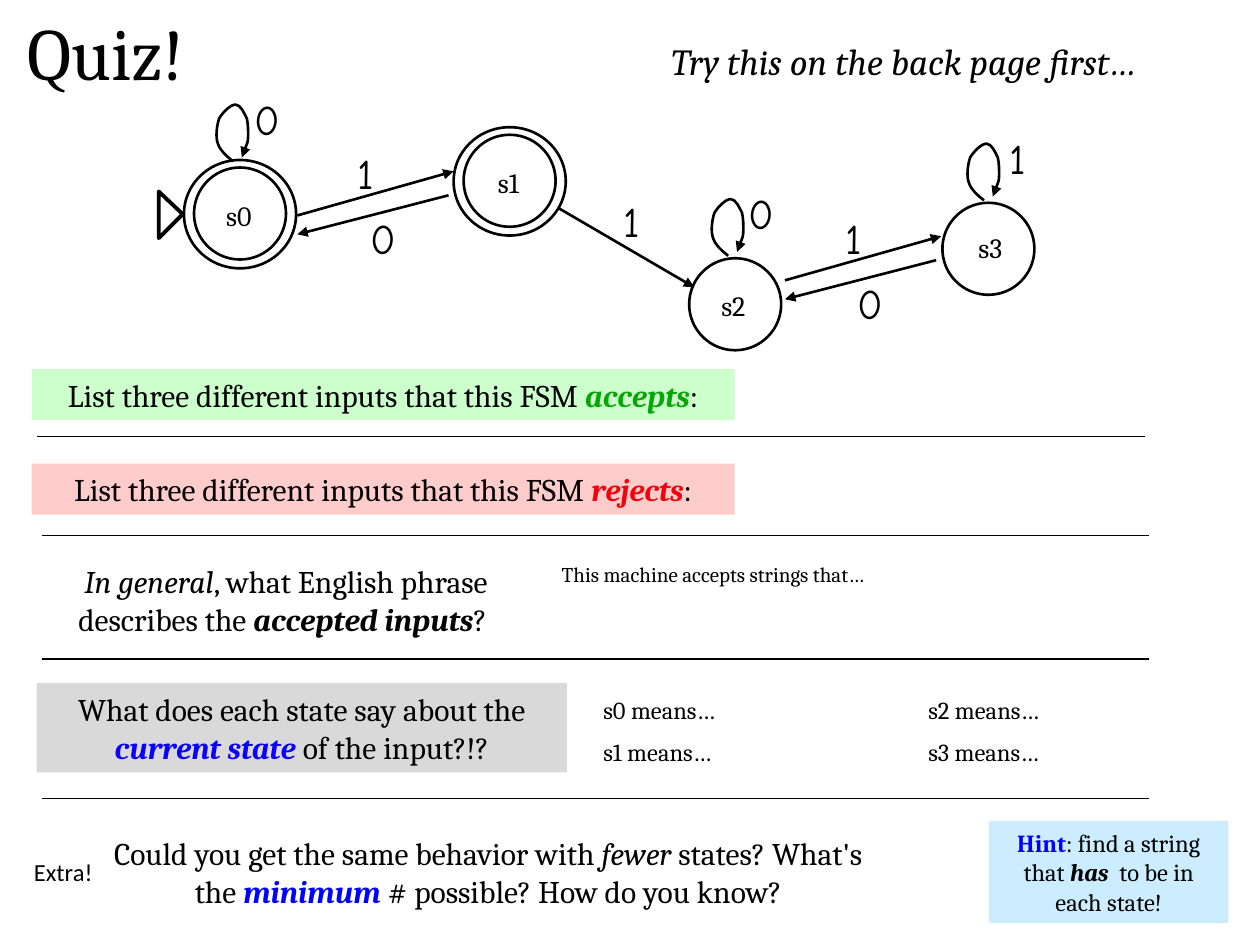
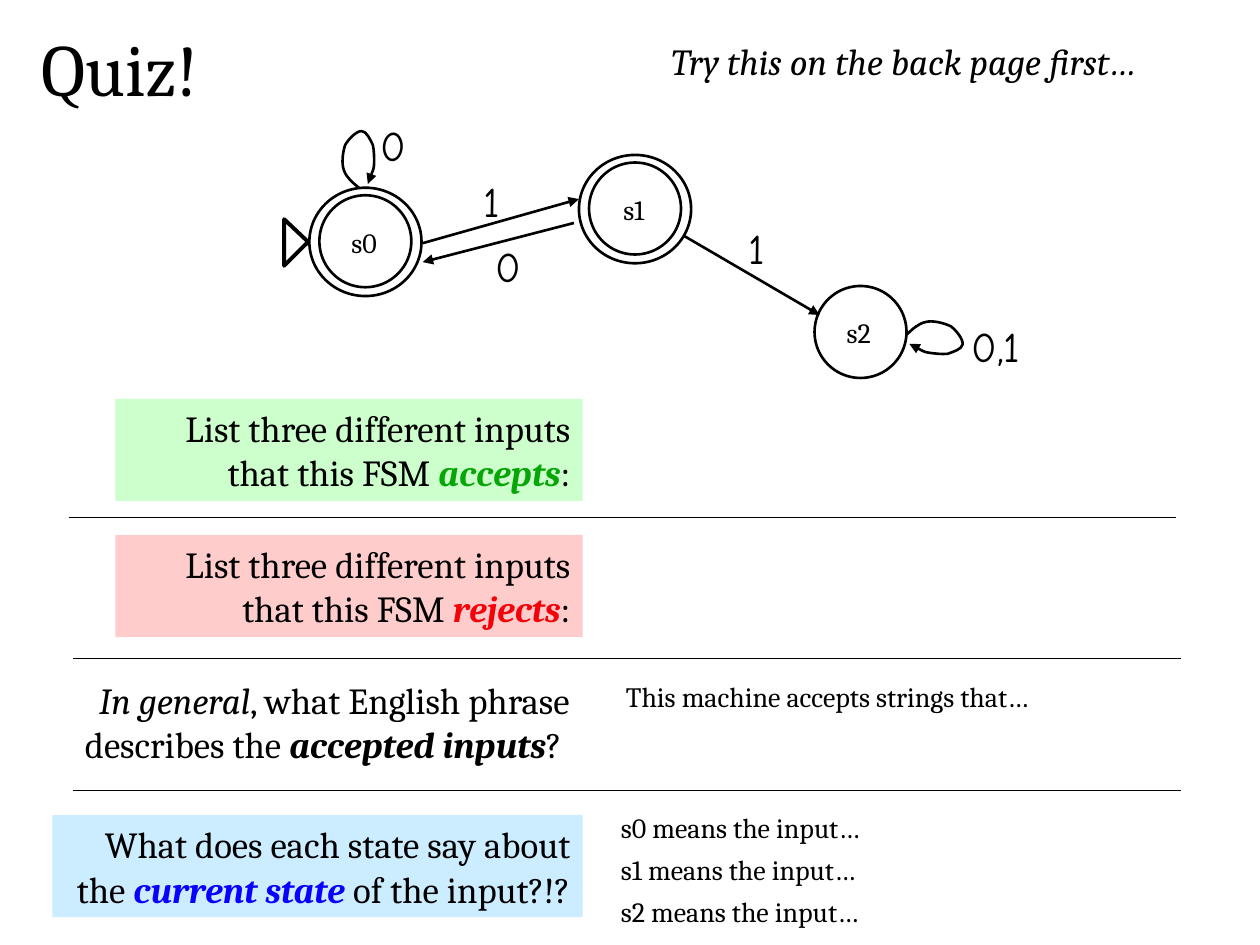
from lxml import etree
from pptx import Presentation
from pptx.dml.color import RGBColor
from pptx.enum.shapes import MSO_CONNECTOR, MSO_SHAPE
from pptx.enum.text import MSO_ANCHOR, MSO_AUTO_SIZE, PP_ALIGN
from pptx.oxml.ns import qn
from pptx.util import Inches, Pt

LEFT, MID, RIGHT = PP_ALIGN.LEFT, PP_ALIGN.CENTER, PP_ALIGN.RIGHT
RECT, OVAL = MSO_SHAPE.RECTANGLE, MSO_SHAPE.OVAL
STRAIGHT = MSO_CONNECTOR.STRAIGHT
CENTRE, FIXED = MSO_ANCHOR.MIDDLE, MSO_AUTO_SIZE.NONE

COLORS = {
    "black": "000000", "white": "FFFFFF", "green": "06A606", "red": "F3020A",
    "blue": "0900FF", "pure": "0000FF", "mint": "CCFFCC", "rose": "FFCCCC",
    "sky": "CCECFF", "grey": "D9D9D9",
}
SERIF, SANS, COMIC = "Cambria", "Calibri", "Comic Neue"

# The slide is a grid of 100 columns by 75 rows of square cells
COLS, ROWS = 100, 75
CELL = Inches(0.1)


def ink(shape, width, arrow=False):
    """Give a shape or connector a plain black line."""
    shape.line.color.rgb = RGBColor.from_string(COLORS["black"])
    shape.line.width = Pt(width)
    props = shape._element.spPr
    if arrow:
        etree.SubElement(props.find(qn("a:ln")), qn("a:tailEnd"), type="triangle")
    etree.SubElement(props, qn("a:effectLst"))


def write(shape, parts, size, align=MID, font=SERIF):
    """Fill a shape with runs given as (text, flags, colour)."""
    frame = shape.text_frame
    frame.auto_size = FIXED
    frame.vertical_anchor = CENTRE
    para = frame.paragraphs[0]
    para.alignment = align
    for text, flags, color in parts:
        run = para.add_run()
        run.text = text
        run.font.name, run.font.size = font, Pt(size)
        run.font.bold, run.font.italic = "b" in flags, "i" in flags
        run.font.color.rgb = RGBColor.from_string(COLORS[color])
    frame.word_wrap = " " in frame.text


# Wording used on the slides
LIST = ("List three different inputs that this FSM ", "", "black")
COLON = (":", "", "black")
ACCEPT = [LIST, ("accepts", "bi", "green"), COLON]
REJECT = [LIST, ("rejects", "bi", "red"), COLON]
PHRASE = [("In general", "i", "black"),
          (", what English phrase describes the ", "", "black"),
          ("accepted inputs", "bi", "black"), ("? ", "", "black")]
STATE = [("What does each state say about the ", "", "black"),
         ("current state ", "bi", "blue"), ("of the input?!?", "", "black")]
STRINGS = [("This machine accepts strings that…", "", "black")]
FEWER = [("Could you get the same behavior with ", "", "black"),
         ("fewer", "i", "black"), (" states? What's the ", "", "black"),
         ("minimum ", "bi", "pure"), ("# possible? How do you know?", "", "black")]
HINT = [("Hint", "b", "pure"), (": find a string that ", "", "black"),
        ("has ", "bi", "black"), (" to be in each state!", "", "black")]
EXTRA = [("Extra!", "", "black")]
BANNER = [("Try this on the back page first…", "i", "black")]

# State machine: left and top of each state, its name's offset, accepting or not
SPOTS = {"s0": (15.4, 13.3, 1.45, 1.9, True), "s1": (36.8, 10.7, 1.45, 1.9, True),
         "s2": (54.7, 20.5, 1.4, 1.85, False), "s3": (74.8, 16.1, 1.7, 1.7, False)}
DISC = (7.3, 7.3)
RING = (8.9, 8.6)
NAME = (4.2, 3.7)
START = [(12.6, 15.2), (12.6, 18.9), (14.5, 17)]
THERE, BACK = (23.6, 17.1, 36, 13.6), (35.6, 15.5, 23.6, 18.6)
DOWN = (44.3, 16.5, 55.1, 22.8)
PAIR = (38.7, 5.15)  # step from the s0-s1 arrows to the s2-s3 arrows

# Self-loop: start point, then two controls and an end for each curve
LOOP = [(1.4, 4.5),
        (.9, 4.1), (.4, 3.7), (.2, 3.1), (0, 2.6), (.1, 1.7), (.3, 1.1),
        (.6, .6), (1.2, 0), (1.6, 0), (2, 0), (2.3, .7), (2.5, 1.1),
        (2.6, 1.6), (2.6, 2), (2.6, 2.5), (2.6, 3), (2.3, 3.6), (2.1, 4.2)]

# What differs: machine shift, states, loops (left, top, turn), arrow pairs,
# loop labels, rules (left, rows), texts (box, parts, size, align, fill, font)
PAGES = [
    {"title": (0, 0), "shift": (0, 0), "states": ["s0", "s1", "s2", "s3"],
     "loops": [(17.1, 8.3, 0), (56.4, 15.8, 0), (76.7, 11.4, 0)],
     "pairs": 2,
     "marks": [("0", 19.2, 6.9), ("0", 58.4, 14.4), ("1", 79, 10)],
     "rules": (3.3, [34.63, 42.5, 52.3, 63.35]),
     "texts": [((2.5, 29.3, 55.8, 4.05), ACCEPT, 18, MID, "mint"),
               ((2.5, 36.8, 55.8, 4.05), REJECT, 18, MID, "rose"),
               ((4.15, 44.05, 37.1, 7.1), PHRASE, 18, MID, None),
               ((43.6, 44.05, 27.2, 3), STRINGS, 12, LEFT, None),
               ((2.9, 54.2, 42.1, 7.1), STATE, 18, MID, "grey"),
               ((7.5, 65.65, 62.5, 7.1), FEWER, 18, MID, "white"),
               ((78.5, 65.15, 19, 8.1), HINT, 14, MID, "sky"),
               ((1.7, 67.5, 6.8, 3.4), EXTRA, 14, LEFT, "white", SANS)],
     "means": ("means…", 14, 2, (46.9, 54.6), (25.8, 3.35))},
    {"title": (1.1, 1.3), "shift": (9.95, 2.2), "states": ["s0", "s1", "s2"],
     "loops": [(27.1, 10.4, 0), (72.9, 24.5, 97.3)],
     "pairs": 1,
     "marks": [("0", 29.2, 9), ("0,1", 75.8, 24.9)],
     "rules": (5.8, [41.1, 52.25, 62.75]),
     "texts": [((9.15, 31.65, 37.1, 8.1), ACCEPT, 21, RIGHT, "mint"),
               ((9.15, 42.45, 37.1, 8.1), REJECT, 21, RIGHT, "rose"),
               ((.8, 53.25, 45.4, 8.1), PHRASE, 21, RIGHT, None),
               ((48.7, 53.4, 35.3, 3.7), STRINGS, 16, LEFT, None),
               ((4.15, 64.7, 42.1, 8.1), STATE, 21, RIGHT, "sky")],
     "means": ("means the input…", 16, 3, (48.3, 63.8), (0, 3.33))},
]

deck = Presentation()
deck.slide_width, deck.slide_height = COLS * CELL, ROWS * CELL

for page in PAGES:
    slide = deck.slides.add_slide(deck.slide_layouts[5])
    shapes = slide.shapes
    dx, dy = page["shift"]

    # Title and banner
    title = shapes.title
    title.left, title.top, title.width, title.height = [
        int(v * CELL) for v in (*page["title"], 16.8, 8.1)]
    write(title, [("Quiz!", "", "black")], 42)
    texts = page["texts"] + [((45.4, 2.6, 52.7, 4.5), BANNER, 21, MID, None)]

    # States, with a second ring on the accepting ones
    for name in page["states"]:
        x, y, right, below, final = SPOTS[name]
        x, y = x + dx, y + dy
        ovals = [(x, y, *DISC)]
        if final:
            ovals.append((x - .8, y - .6, *RING))
        for at in ovals:
            oval = shapes.add_shape(OVAL, *[int(v * CELL) for v in at])
            oval.fill.background()
            ink(oval, 1.5)
        texts.append(((x + right, y + below, *NAME),
                      [(name, "", "black")], 16, MID, None))

    # Start marker and self-loops
    outlines = [([(x + dx, y + dy) for x, y in START], 0, 2.25)]
    for left, top, turn in page["loops"]:
        outlines.append(([(left + x, top + y) for x, y in LOOP], turn, 1.5))
    for points, turn, width in outlines:
        dots = [(int(x * CELL), int(y * CELL)) for x, y in points]
        closed = len(dots) == len(START)
        pen = shapes.build_freeform(*dots[0], scale=1.0)
        pen.add_line_segments(dots[1:], close=closed)
        curve = pen.convert_to_shape()
        curve.fill.background()
        curve.rotation = turn
        ink(curve, width, arrow=not closed)
        if not closed:
            # Join every three points into one cubic curve
            legs = list(curve._element.iter(qn("a:lnTo")))
            for n in range(0, len(legs), 3):
                legs[n].tag = qn("a:cubicBezTo")
                for leg in legs[n + 1:n + 3]:
                    legs[n].append(leg[0])
                    leg.getparent().remove(leg)

    # Arrows between states, then the dividing rules
    lines = [(DOWN, dx, dy, True)]
    marks = page["marks"] + [("1", 48.4 + dx, 15 + dy)]
    for n in range(page["pairs"]):
        px, py = dx + n * PAIR[0], dy + n * PAIR[1]
        lines += [(THERE, px, py, True), (BACK, px, py, True)]
        marks += [("1", 27.3 + px, 11.2 + py), ("0", 28.4 + px, 16.4 + py)]
    edge, rows = page["rules"]
    for n, row in enumerate(rows):
        left = edge - (.35 if n == 0 else 0)
        lines.append(((left, row, left + 87.9, row), 0, 0, False))
    for (x1, y1, x2, y2), px, py, arrow in lines:
        line = shapes.add_connector(STRAIGHT, *[
            int(v * CELL) for v in (x1 + px, y1 + py, x2 + px, y2 + py)])
        ink(line, 1.5 if arrow else .75, arrow)

    # Input symbols on the arrows
    for sign, left, top in marks:
        wide = {"0": 4, "1": 3.5}.get(sign, 6.5)
        texts.append(((left, top, wide, 5), [(sign, "", "black")],
                      24, MID, None, COMIC))

    # Answers to fill in, one per state, running down then across
    tail, size, deep, (left, top), (across, down) = page["means"]
    for n, name in enumerate(page["states"]):
        col, row = divmod(n, deep)
        at = (left + col * across, top + row * down, 25.9 - col * 7.6, size * .2 + .6)
        texts.append((at, [(f"{name} {tail}", "", "black")], size, LEFT, None))

    # All texts: questions, prompts, names and symbols
    for at, parts, size, align, fill, *font in texts:
        spot = [int(v * CELL) for v in at]
        if fill:
            box = shapes.add_shape(RECT, *spot)
            box.shadow.inherit = False
            box.fill.solid()
            box.fill.fore_color.rgb = RGBColor.from_string(COLORS[fill])
            box.line.fill.background()
        else:
            box = shapes.add_textbox(*spot)
        write(box, parts, size, align, *font)

deck.save("out.pptx")
